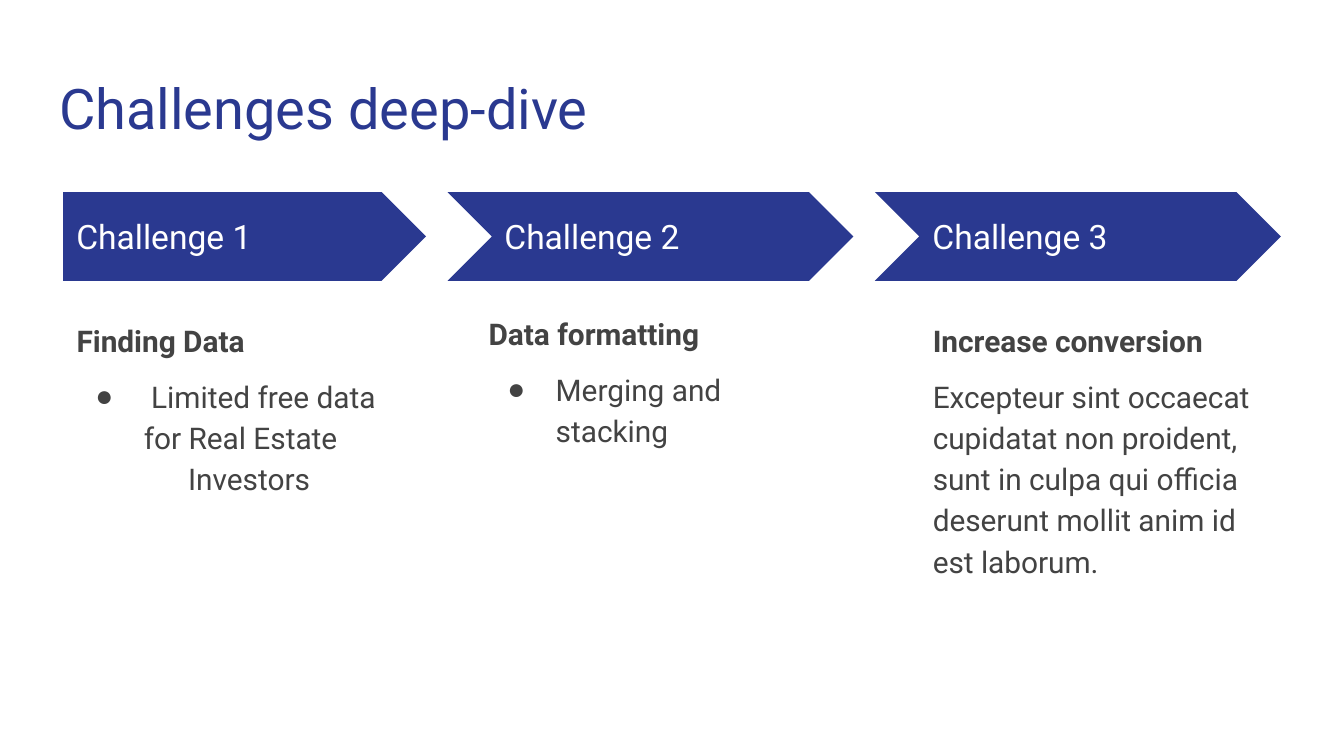
from pptx import Presentation
from pptx.dml.color import RGBColor
from pptx.enum.shapes import MSO_SHAPE
from pptx.enum.text import MSO_ANCHOR, MSO_AUTO_SIZE, PP_ALIGN
from pptx.oxml.ns import qn
from pptx.util import Inches, Pt
from lxml import etree

TOP, MIDDLE = MSO_ANCHOR.TOP, MSO_ANCHOR.MIDDLE
LEFT = PP_ALIGN.LEFT
NO_FIT = MSO_AUTO_SIZE.NONE
PENTAGON, CHEVRON = MSO_SHAPE.PENTAGON, MSO_SHAPE.CHEVRON

FONT = "Roboto"
NAVY, GREY, WHITE = "2A3990", "434343", "FFFFFF"
COMPARISON_LAYOUT = 4

# Columns of the grid, in inches
GRID_LEFT, PITCH, GAP = 0.15, 3.18, 0.16
TEXT_LEFT, LAST_TEXT_LEFT = 0.47, 6.84
ARROW_TOP, ARROW_H = 1.43, 0.66
BODY_TOP, BODY_W, BODY_H = 2.26, 2.7, 2.9

# Each paragraph: (text, left margin, first-line indent, bullet, space before, space after)
CHALLENGES = [
    ("Challenge 1", "Finding Data", (0, 0), [
        (" Limited free data for Real Estate", 0.5, -0.36, "●", 8, 0),
        ("Investors", 0.83, 0, None, 0, 0)]),
    ("Challenge 2", "Data formatting", (-0.12, -0.05), [
        ("Merging and stacking", 0.5, -0.36, "●", 8, 0)]),
    ("Challenge 3", "Increase conversion", (0, 0), [
        ("Excepteur sint occaecat cupidatat non proident, sunt in culpa qui "
         "officia deserunt mollit anim id est laborum.", 0, 0, None, 8, 8)]),
]


def rgb(value):
    return RGBColor.from_string(value)


def place(sp, x, y, w, h, anchor=TOP):
    """Move a text shape to its box and return its text frame, ready to fill."""
    sp.left, sp.top, sp.width, sp.height = (Inches(v) for v in (x, y, w, h))
    tf = sp.text_frame
    tf.word_wrap = True
    tf.auto_size = NO_FIT
    tf.vertical_anchor = anchor
    tf.margin_left = tf.margin_right = tf.margin_top = tf.margin_bottom = Inches(0.1)
    return tf


def write(p, text, size, color, bold=False, spacing=1.0, before=0, after=0):
    p.alignment = LEFT
    p.line_spacing = spacing
    p.space_before, p.space_after = Pt(before), Pt(after)
    r = p.add_run()
    r.text = text
    r.font.name, r.font.size, r.font.bold = FONT, Pt(size), bold
    r.font.color.rgb = rgb(color)


def set_bullet(p, margin=0, indent=0, char=None):
    """Set the paragraph's indents and its bullet, or no bullet."""
    pPr = p._p.get_or_add_pPr()
    pPr.set("marL", str(Inches(margin)))
    pPr.set("indent", str(Inches(indent)))
    if char:
        clr = etree.SubElement(pPr, qn("a:buClr"))
        etree.SubElement(clr, qn("a:srgbClr")).set("val", GREY)
        etree.SubElement(pPr, qn("a:buFont")).set("typeface", "Arial")
        etree.SubElement(pPr, qn("a:buChar")).set("char", char)
    else:
        etree.SubElement(pPr, qn("a:buNone"))


def add_arrow(slide, x, w, text_x, label, kind):
    sp = slide.shapes.add_shape(kind, Inches(x), Inches(ARROW_TOP), Inches(w), Inches(ARROW_H))
    sp.shadow.inherit = False
    sp.adjustments[0] = 0.5
    sp.fill.solid()
    sp.fill.fore_color.rgb = rgb(NAVY)
    sp.line.fill.background()
    box = slide.shapes.add_textbox(0, 0, 0, 0)
    tf = place(box, text_x, ARROW_TOP + 0.16, 2.47, 0.34, MIDDLE)
    write(tf.paragraphs[0], label, 18, WHITE)


def fill_body(sp, x, y, heading, paragraphs):
    tf = place(sp, x, y, BODY_W, BODY_H)
    write(tf.paragraphs[0], heading, 16, GREY, bold=True, spacing=1.15)
    set_bullet(tf.paragraphs[0])
    for text, margin, indent, char, before, after in paragraphs:
        p = tf.add_paragraph()
        write(p, text, 16, GREY, spacing=1.15, before=before, after=after)
        set_bullet(p, margin, indent, char)


def build_challenges(prs):
    slide = prs.slides.add_slide(prs.slide_layouts[COMPARISON_LAYOUT])
    title, *bodies = slide.placeholders
    tf = place(title, 0.34, 0.45, 9.32, 0.66)
    write(tf.paragraphs[0], "Challenges deep-dive", 30, NAVY)

    text_pitch = (LAST_TEXT_LEFT - TEXT_LEFT) / (len(CHALLENGES) - 1)
    for i, (label, heading, (dx, dy), paragraphs) in enumerate(CHALLENGES):
        x = GRID_LEFT + i * PITCH
        text_x = TEXT_LEFT + i * text_pitch
        arrow_x = x if i else text_x
        add_arrow(slide, arrow_x, x + PITCH - GAP - arrow_x, text_x, label,
                  CHEVRON if i else PENTAGON)
        fill_body(bodies[i], text_x + dx, BODY_TOP + dy, heading, paragraphs)

    for spare in bodies[len(CHALLENGES):]:
        spare.element.getparent().remove(spare.element)


def main():
    prs = Presentation()
    prs.slide_width, prs.slide_height = Pt(720), Pt(405)
    build_challenges(prs)
    prs.save("out.pptx")


if __name__ == "__main__":
    main()
